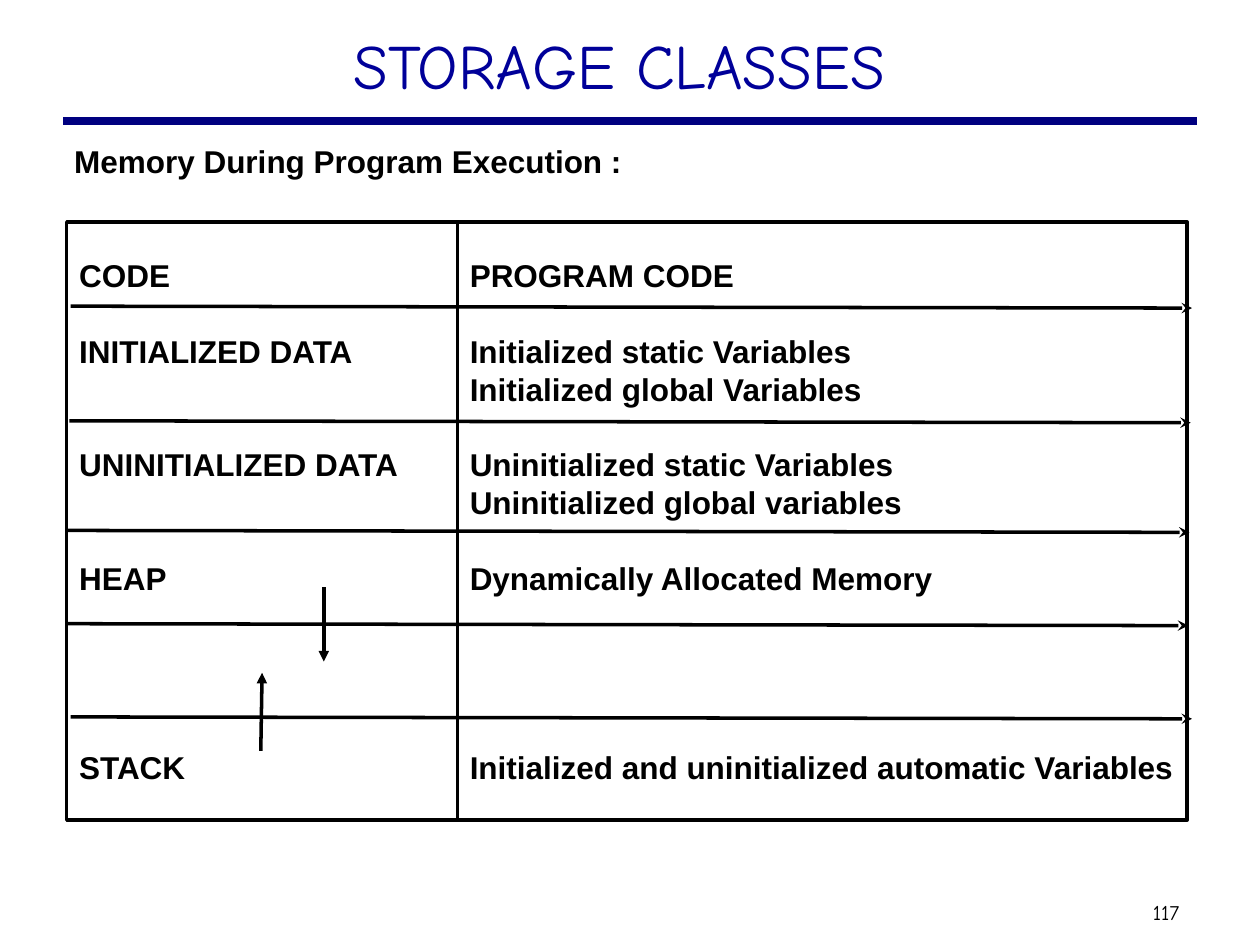
from typing import NamedTuple

from lxml import etree
from pptx import Presentation
from pptx import util as u
from pptx.dml.color import RGBColor
from pptx.enum import shapes, text
from pptx.oxml.ns import qn

COLORS = {"ink": "000000", "title": "000099", "rule": "000080"}
LINE_PITCH = 21.6


class Label(NamedTuple):
    content: str
    left: float
    top: float
    width: float
    height: float
    size: int
    font: str
    color: str = "ink"
    bold: bool = False
    align: text.PP_ALIGN = text.PP_ALIGN.LEFT
    anchor: text.MSO_ANCHOR = text.MSO_ANCHOR.TOP
    inset: float = 0.1


class Row(NamedTuple):
    content: str
    blank_lines: int = 0


class Column(NamedTuple):
    left: float
    width: float
    rows: list[Row]


class Stroke(NamedTuple):
    x1: float
    y1: float
    x2: float
    y2: float
    head: str = ""
    color: str = "ink"
    weight: float = 2


LABELS = [
    Label("117", 9.1, 7.09, 0.47, 0.3, 12, "Comic Neue",
          anchor=text.MSO_ANCHOR.MIDDLE, inset=0.05),
    Label("STORAGE CLASSES ", 0.75, 0.16, 8.5, 0.76, 36, "Comic Neue",
          color="title", align=text.PP_ALIGN.CENTER),
    Label("Memory During Program Execution :", 0.49, 1.08, 8.99, 6.04, 18,
          "Arial", bold=True),
]

COLUMNS = [
    Column(0.53, 3.1, [
        Row("CODE"),
        Row("INITIALIZED DATA", 1),
        Row("UNINITIALIZED DATA", 2),
        Row("HEAP", 2),
        Row("STACK", 4),
    ]),
    Column(3.63, 5.79, [
        Row("PROGRAM CODE"),
        Row("Initialized static Variables", 1),
        Row("Initialized global Variables"),
        Row("Uninitialized static Variables", 1),
        Row("Uninitialized global variables"),
        Row("Dynamically Allocated Memory", 1),
        Row("Initialized and uninitialized automatic Variables", 4),
    ]),
]

HEADER_RULE = Stroke(0.5, 0.96, 9.5, 0.96, color="rule", weight=4.5)
DIVIDERS = [
    Stroke(left, top, left + 8.9, top + 0.015, "stealth")
    for left, top in [(0.56, 2.43), (0.55, 3.34), (0.54, 4.21),
                      (0.53, 4.95), (0.56, 5.69)]
]
GROWTH_ARROWS = [
    Stroke(2.57, 4.66, 2.57, 5.25, "triangle"),
    Stroke(2.07, 5.96, 2.08, 5.34, "triangle"),
]


def rgb(name: str) -> RGBColor:
    return RGBColor.from_string(COLORS[name])


def style_font(p, size: int, name: str, color: str, bold: bool) -> None:
    p.font.size = u.Pt(size)
    p.font.name = name
    p.font.bold = bold
    p.font.color.rgb = rgb(color)


def add_label(s, label: Label) -> None:
    sp = s.shapes.add_textbox(u.Inches(label.left), u.Inches(label.top),
                              u.Inches(label.width), u.Inches(label.height))
    tf = sp.text_frame
    tf.word_wrap = True
    tf.vertical_anchor = label.anchor
    tf.margin_left = tf.margin_right = u.Inches(label.inset)
    p = tf.paragraphs[0]
    p.text = label.content
    p.alignment = label.align
    style_font(p, label.size, label.font, label.color, label.bold)


def add_column(s, column: Column) -> None:
    sp = s.shapes.add_shape(shapes.MSO_SHAPE.RECTANGLE,
                            u.Inches(column.left), u.Inches(1.76),
                            u.Inches(column.width), u.Inches(4.75))
    sp.shadow.inherit = False
    sp.fill.background()
    sp.line.color.rgb = rgb("ink")
    sp.line.width = u.Pt(2)
    tf = sp.text_frame
    tf.word_wrap = True
    tf.vertical_anchor = text.MSO_ANCHOR.MIDDLE
    tf.margin_right = u.Inches(0.05)
    for i, row in enumerate(column.rows):
        p = tf.add_paragraph() if i else tf.paragraphs[0]
        p.text = row.content
        p.alignment = text.PP_ALIGN.LEFT
        p.line_spacing = u.Pt(LINE_PITCH)
        p.space_before = u.Pt(row.blank_lines * LINE_PITCH)
        style_font(p, 18, "Arial", "ink", True)


def add_stroke(s, stroke: Stroke) -> None:
    sp = s.shapes.add_connector(shapes.MSO_CONNECTOR.STRAIGHT,
                                u.Inches(stroke.x1), u.Inches(stroke.y1),
                                u.Inches(stroke.x2), u.Inches(stroke.y2))
    sp.line.color.rgb = rgb(stroke.color)
    sp.line.width = u.Pt(stroke.weight)
    if stroke.head:
        etree.SubElement(sp.line._get_or_add_ln(), qn("a:tailEnd"),
                         type=stroke.head)
    etree.SubElement(sp._element.spPr, qn("a:effectLst"))


def main() -> None:
    prs = Presentation()
    prs.slide_width = u.Inches(10)
    prs.slide_height = u.Inches(7.5)
    s = prs.slides.add_slide(prs.slide_layouts[6])
    add_stroke(s, HEADER_RULE)
    for label in LABELS:
        add_label(s, label)
    for column in COLUMNS:
        add_column(s, column)
    for stroke in DIVIDERS + GROWTH_ARROWS:
        add_stroke(s, stroke)
    prs.save("out.pptx")


if __name__ == "__main__":
    main()
